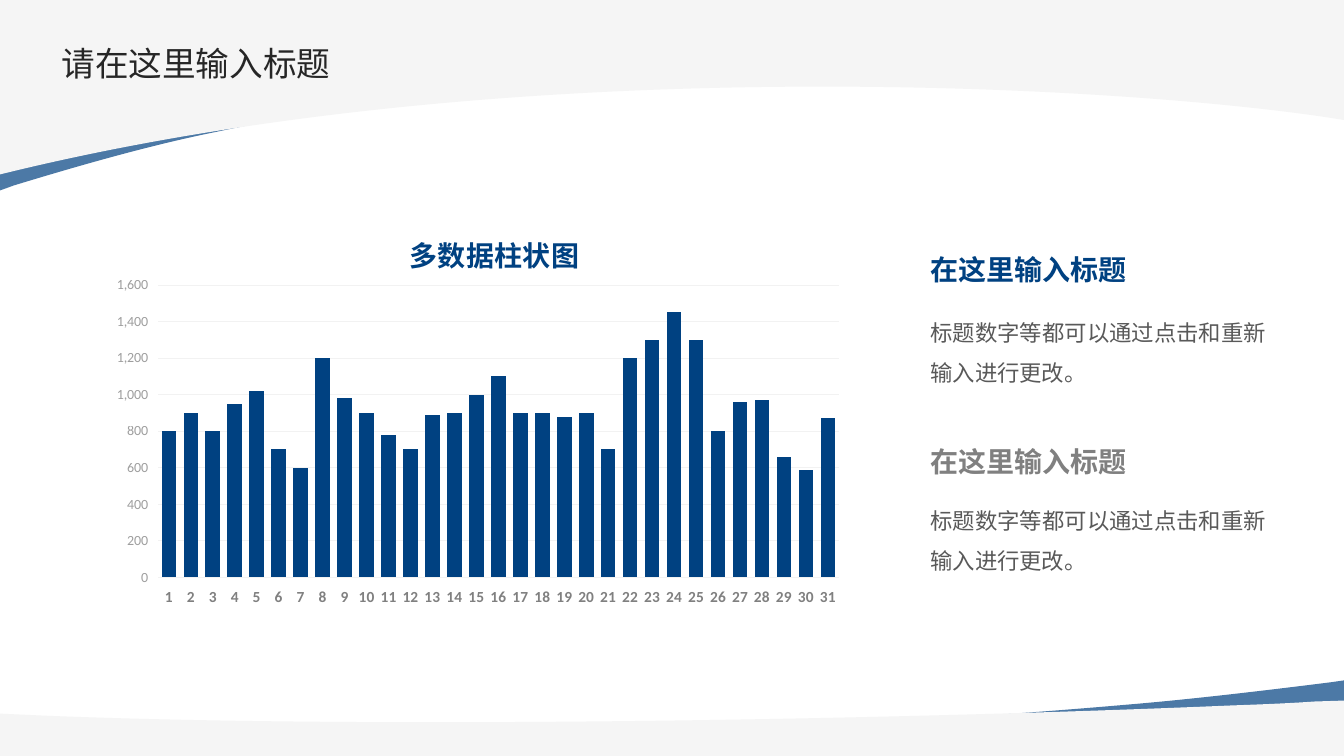
from lxml import etree
from pptx import Presentation
from pptx import util as u
from pptx.chart.data import CategoryChartData
from pptx.dml.color import RGBColor
from pptx.enum import chart as charts, text
from pptx.oxml import ns, parse_xml

WIDTH, HEIGHT = u.Inches(13.333), u.Inches(7.5)
CJK, LATIN = "Noto Sans CJK SC", "Calibri"
NAVY, GREY, INK, PALE, WHITE = "004181", "808080", "595959", "F5F5F5", "FFFFFF"
BODY = "标题数字等都可以通过点击和重新输入进行更改。"
VALUES = [800, 900, 800, 950, 1020, 700, 600, 1200, 980, 900, 780, 700, 890, 900, 1000, 1100,
          900, 900, 880, 900, 700, 1200, 1300, 1450, 1300, 800, 960, 970, 660, 590, 870]

BANDS = [
    (NAVY, 70, [(0, 25.2), (0, 2.93), (100, 2.93), (100, 12.13)],
     [[(77.4, 0.8), (38.55, 8.93), (16.05, 17.47)],
      [(11.55, 19.07), (6.45, 21.6), (1.05, 24.53)]]),
    (PALE, 100, [(0, 0), (100, 0), (100, 15.87)],
     [[(85.5, 11.6), (38.78, 6), (0, 23.07)]]),
    (NAVY, 70, [(100, 90), (100, 99.2), (0, 99.2), (0, 95.33)],
     [[(22.58, 100), (61.5, 96.67), (83.93, 93.2)],
      [(88.43, 92.53), (93.53, 91.47), (98.93, 90.27)]]),
    (PALE, 100, [(100, 92.67), (100, 100), (0, 100), (0, 94.4), (3.3, 94.67)],
     [[(29.4, 96.53), (68.25, 95.07), (91.5, 93.33)],
      [(93.45, 93.2), (95.63, 93.07), (97.8, 92.8)]]),
]


def color(value):
    return RGBColor.from_string(value)


def across(percent):
    return round(WIDTH * percent / 100)


def down(percent):
    return round(HEIGHT * percent / 100)


def area(left, top, width, height):
    return across(left), down(top), across(width), down(height)


def paint(fill, value):
    fill.solid()
    fill.fore_color.rgb = color(value)


def fade(element, opacity):
    tone = element.find(".//" + ns.qn("a:srgbClr"))
    etree.SubElement(tone, ns.qn("a:alpha"), val=str(opacity * 1000))


def style(font, size, value, name, bold=False):
    font.size, font.bold, font.name = u.Pt(size), bold, name
    font.color.rgb = color(value)


def write(para, words, size, value, bold=False):
    span = para.add_run()
    span.text = words
    style(span.font, size, value, CJK, bold)
    latin = span.font._element.find(ns.qn("a:latin"))
    latin.addnext(etree.Element(ns.qn("a:ea"), typeface=CJK))


def bend(band, curves):
    lines = band._element.findall(".//" + ns.qn("a:lnTo"))
    for line, controls in zip(lines[-len(curves):], curves):
        arc = etree.Element(ns.qn("a:cubicBezTo"))
        for x, y in controls:
            etree.SubElement(arc, ns.qn("a:pt"), x=str(across(x) - band.left),
                             y=str(down(y) - band.top))
        line.getparent().replace(line, arc)


def add_band(page, value, opacity, corners, curves):
    outline = corners + [controls[-1] for controls in curves]
    points = [(across(x), down(y)) for x, y in outline]
    builder = page.shapes.build_freeform(*points[0], scale=1)
    builder.add_line_segments(points[1:], close=True)
    band = builder.convert_to_shape()
    bend(band, curves)
    band.shadow.inherit = False
    band.line.fill.background()
    paint(band.fill, value)
    if opacity < 100:
        fade(band._element.spPr, opacity)


def add_title(page, words):
    title = page.shapes.title
    page.shapes._spTree.append(title._element)
    title.left, title.top, title.width, title.height = area(3.98, 5.2, 90, 7.73)
    frame = title.text_frame
    frame.margin_left = frame.margin_top = frame.margin_bottom = u.Inches(0.08)
    frame.margin_right = 0
    frame.vertical_anchor = text.MSO_ANCHOR.TOP
    frame.word_wrap = False
    para = frame.paragraphs[0]
    para.alignment, para.line_spacing = text.PP_ALIGN.LEFT, 0.9
    write(para, words, 24, "262626")


def add_text(page, place, words, size, value, spacing, align, anchor, bold=False):
    frame = page.shapes.add_textbox(*area(*place)).text_frame
    frame.word_wrap = True
    frame.auto_size = text.MSO_AUTO_SIZE.SHAPE_TO_FIT_TEXT
    frame.vertical_anchor = anchor
    para = frame.paragraphs[0]
    para.alignment, para.line_spacing = align, spacing
    write(para, words, size, value, bold)


def add_topic(page, heading_top, body_top, value):
    add_text(page, (68.49, body_top, 26.48, 11.47), BODY, 16, INK, 1.5,
             text.PP_ALIGN.JUSTIFY, text.MSO_ANCHOR.TOP)
    add_text(page, (68.49, heading_top, 23.93, 4.4), "在这里输入标题", 20, value, u.Pt(15),
             text.PP_ALIGN.LEFT, text.MSO_ANCHOR.MIDDLE, True)


def manual_layout(target="", **percents):
    modes = "".join(f'<c:{axis}Mode val="edge"/>' for axis in "xy")
    sizes = "".join(f'<c:{key} val="{share / 100:.4f}"/>' for key, share in percents.items())
    return parse_xml(f'<c:layout {ns.nsdecls("c")}><c:manualLayout>{target}{modes}{sizes}'
                     '</c:manualLayout></c:layout>')


def set_layout(element, layout, before=None):
    for old in element.findall(ns.qn("c:layout")):
        element.remove(old)
    if before is None:
        element.insert(0, layout)
    else:
        before.addnext(layout)


def format_axis(axis, size, bold):
    axis.format.line.fill.background()
    axis.major_tick_mark = charts.XL_TICK_MARK.OUTSIDE
    style(axis.tick_labels.font, size, GREY, LATIN, bold)


def add_columns(page):
    data = CategoryChartData(number_format="#,##0")
    data.categories = [str(day) for day in range(1, len(VALUES) + 1)]
    data.add_series("Series 1", VALUES)
    chart = page.shapes.add_chart(charts.XL_CHART_TYPE.COLUMN_CLUSTERED,
                                  *area(6.38, 23.6, 60.32, 60.27), data).chart
    style(chart.font, 10, "000000", LATIN)
    chart.has_legend = False
    plot = chart.plots[0]
    plot.gap_width, plot.overlap, plot.vary_by_categories = 50, 10, False
    paint(plot.series[0].format.fill, NAVY)
    format_axis(chart.category_axis, 11, True)
    values = chart.value_axis
    format_axis(values, 10, False)
    fade(values.tick_labels.font._element, 75)
    values.minimum_scale, values.maximum_scale, values.major_unit = 0, 1600, 200
    values.tick_labels.number_format = "#,##0"
    values.tick_labels.number_format_is_linked = False
    values.major_gridlines.format.line.color.rgb = color("F2F2F2")
    values.major_gridlines.format.line.width = u.Pt(0.5)
    write(chart.chart_title.text_frame.paragraphs[0], "多数据柱状图", 20, NAVY, True)
    chart.chart_title.include_in_layout = False
    heading = chart.chart_title._element
    set_layout(heading, manual_layout(x=39.3, y=10.25), heading.find(ns.qn("c:tx")))
    set_layout(chart._chartSpace.chart.plotArea,
               manual_layout('<c:layoutTarget val="inner"/>', x=8.9, y=23.4, w=84, h=64.2))
    chart._chartSpace.chart.addnext(parse_xml(
        f'<c:spPr {ns.nsdecls("c", "a")}><a:solidFill><a:srgbClr val="{WHITE}"/></a:solidFill>'
        '<a:ln><a:noFill/></a:ln></c:spPr>'))


def main():
    deck = Presentation()
    deck.slide_width, deck.slide_height = WIDTH, HEIGHT
    page = deck.slides.add_slide(deck.slide_layouts[5])
    paint(page.background.fill, WHITE)
    for band in BANDS:
        add_band(page, *band)
    add_title(page, "请在这里输入标题")
    add_topic(page, 34.27, 39.73, NAVY)
    add_topic(page, 59.6, 64.67, GREY)
    add_columns(page)
    deck.save("out.pptx")


if __name__ == "__main__":
    main()
